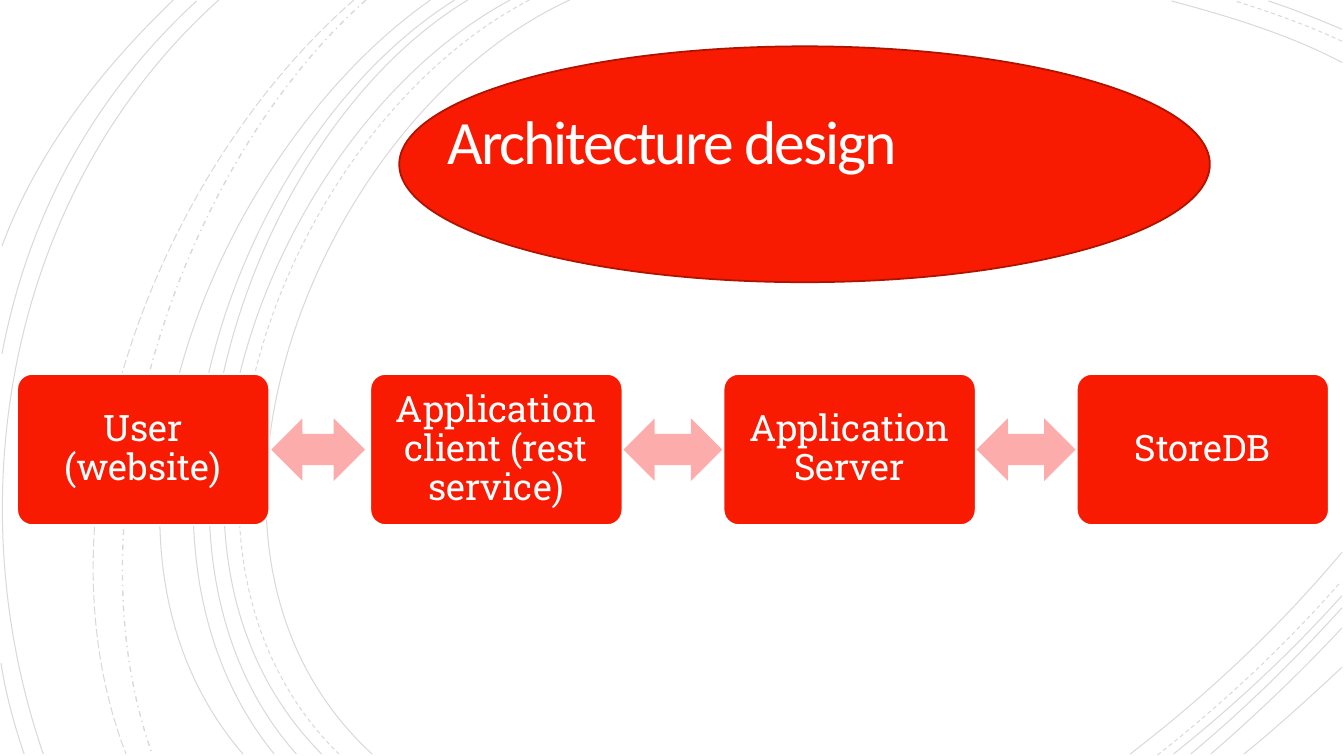
from dataclasses import dataclass
from typing import Optional

from lxml import etree
from pptx import Presentation
from pptx.dml.color import RGBColor
from pptx.enum.dml import MSO_LINE
from pptx.enum.shapes import MSO_SHAPE
from pptx.enum.text import MSO_ANCHOR, MSO_AUTO_SIZE, PP_ALIGN
from pptx.oxml.ns import qn
from pptx.util import Inches, Pt

RED = RGBColor(0xF8, 0x1B, 0x02)
DARK_RED = RGBColor(0xAF, 0x13, 0x01)
PINK = RGBColor(0xFB, 0xAC, 0xAB)
WHITE = RGBColor(0xFF, 0xFF, 0xFF)
BLACK = RGBColor(0x00, 0x00, 0x00)

SOLID, DASH = MSO_LINE.SOLID, MSO_LINE.DASH
DASH_DOT, LONG_DASH = MSO_LINE.DASH_DOT, MSO_LINE.LONG_DASH
ELLIPSE, ROUNDED = MSO_SHAPE.OVAL, MSO_SHAPE.ROUNDED_RECTANGLE
DOUBLE_ARROW = MSO_SHAPE.LEFT_RIGHT_ARROW
CENTER, MIDDLE = PP_ALIGN.CENTER, MSO_ANCHOR.MIDDLE
NO_AUTOFIT = MSO_AUTO_SIZE.NONE

# The page is a grid of one-inch cells
CELL = Inches(1)
COLUMNS, ROWS = 13.33, 7.5
TITLE_ONLY = 5

ARC_OPACITY = "15000"

# Row of stages
FIRST_LEFT, LAST_LEFT, STAGE_TOP = 0.17, 10.68, 3.71
STAGE_WIDTH, STAGE_HEIGHT = 2.5, 1.5
ARROW_HEIGHT = 0.62

Point = tuple[float, float]


@dataclass(frozen=True)
class Arc:
    start: Point
    first_pull: Point
    second_pull: Point
    end: Point
    dash: MSO_LINE = SOLID
    weight: float = 0.75


@dataclass(frozen=True)
class Arrow:
    gap: float
    width: float


@dataclass(frozen=True)
class Stage:
    label: str
    arrow: Optional[Arrow] = None


ARCS = [
    # Left sweeps
    Arc((5.65, 0), (3.15, 1.15), (1.43, 5.4), (3.69, 7.48)),
    Arc((5.25, 0), (2.85, 1.25), (1.23, 5.37), (3.36, 7.48), DASH),
    Arc((5.06, 0), (2.7, 1.27), (1.1, 5.37), (3.19, 7.48)),
    Arc((4.64, 0), (2.44, 1.33), (1.1, 5.41), (2.94, 7.48)),
    Arc((4.51, 0), (2.31, 1.38), (0.97, 5.33), (2.72, 7.48)),
    Arc((4.27, 0), (2.17, 1.47), (0.53, 5.29), (2.41, 7.48)),
    Arc((3.63, 0), (1.76, 1.66), (0.65, 5.09), (1.51, 7.48), DASH_DOT, 1),
    Arc((3.51, 0), (1.57, 1.69), (0.29, 4.99), (1.25, 7.48), LONG_DASH),
    Arc((2.17, 0), (0.11, 1.85), (-0.46, 4.9), (0.43, 7.48)),
    Arc((1.95, 0.01), (0.92, 0.96), (0.28, 2.14), (0.02, 3.51)),
    Arc((0.01, 6.58), (0.06, 6.89), (0.14, 7.19), (0.24, 7.48)),
    Arc((1.72, 0), (1, 0.69), (0.37, 1.5), (0.02, 2.44)),
    # Upper right corner
    Arc((13.31, 0.62), (12.78, 0.34), (12.18, 0.16), (11.62, 0.01)),
    Arc((13.31, 0.41), (12.97, 0.25), (12.6, 0.12), (12.25, 0.01), DASH),
    Arc((13.31, 0.29), (13.07, 0.19), (12.83, 0.09), (12.58, 0.01)),
    # Lower right corner
    Arc((11.21, 7.48), (11.97, 6.9), (12.69, 6.22), (13.31, 5.48)),
    Arc((11.48, 7.49), (12.13, 6.98), (12.75, 6.4), (13.3, 5.77), DASH),
    Arc((11.64, 7.48), (12.23, 7.01), (12.8, 6.48), (13.31, 5.91)),
    Arc((11.81, 7.48), (12.34, 7.04), (12.84, 6.55), (13.31, 6.03)),
    Arc((12.01, 7.48), (12.46, 7.09), (12.9, 6.67), (13.31, 6.23)),
    Arc((12.34, 7.48), (12.67, 7.21), (12.99, 6.92), (13.31, 6.62)),
]

STAGES = [
    Stage("User (website)", Arrow(0.02, 0.93)),
    Stage("Application client (rest service)", Arrow(0.01, 0.98)),
    Stage("Application Server", Arrow(0.01, 0.98)),
    Stage("StoreDB"),
]


def cells(count: float) -> int:
    return round(count * CELL)


def draw_arc(page, arc: Arc) -> None:
    corners = (arc.start, arc.first_pull, arc.second_pull, arc.end)
    points = [(cells(x), cells(y)) for x, y in corners]
    builder = page.shapes.build_freeform(*points[0])
    builder.add_line_segments(points[1:], close=False)
    curve = builder.convert_to_shape()
    # Join the three segments into one cubic curve
    segments = list(curve._element.iter(qn("a:lnTo")))
    outline = segments[0].getparent()
    cubic = etree.SubElement(outline, qn("a:cubicBezTo"))
    for segment in segments:
        cubic.append(segment[0])
        outline.remove(segment)
    curve.shadow.inherit = False
    curve.fill.background()
    curve.line.color.rgb = BLACK
    curve.line.width = Pt(arc.weight)
    curve.line.dash_style = arc.dash
    tint = next(curve._element.spPr.iter(qn("a:srgbClr")))
    etree.SubElement(tint, qn("a:alpha"), val=ARC_OPACITY)


def add_solid(page, kind: MSO_SHAPE, left: float, top: float, width: float,
              height: float, fill: RGBColor, outline: Optional[RGBColor] = None):
    box = page.shapes.add_shape(kind, *map(cells, (left, top, width, height)))
    box.shadow.inherit = False
    box.fill.solid()
    box.fill.fore_color.rgb = fill
    if outline is None:
        box.line.fill.background()
    else:
        box.line.color.rgb = outline
        box.line.width = Pt(1.25)
    return box


def write_text(box, text: str, font: str, size: float, spacing: float, inset: float):
    frame = box.text_frame
    frame.text = text
    frame.word_wrap = True
    frame.auto_size = NO_AUTOFIT
    frame.vertical_anchor = MIDDLE
    frame.margin_left = frame.margin_right = cells(inset)
    frame.margin_top = frame.margin_bottom = cells(inset)
    para = frame.paragraphs[0]
    para.alignment = CENTER
    para.line_spacing = spacing
    span = para.runs[0]
    span.font.name = font
    span.font.size = Pt(size)
    span.font.color.rgb = WHITE
    return span


def draw_title(page) -> None:
    add_solid(page, ELLIPSE, 3.96, 0.46, 8.04, 2.34, RED, DARK_RED)
    title = page.shapes.title
    title.left, title.top, title.width, title.height = map(cells, (1.92, 0.87, 9.49, 1.15))
    span = write_text(title, "Architecture design", "Calibri", 44, 0.85, 0.25)
    span.font._element.set("spc", "-150")
    # Bring the title in front of the ellipse
    page.shapes._spTree.append(title._element)


def draw_stage(page, left: float, stage: Stage) -> None:
    box = add_solid(page, ROUNDED, left, STAGE_TOP, STAGE_WIDTH, STAGE_HEIGHT, RED, WHITE)
    box.adjustments[0] = 0.1
    write_text(box, stage.label, "Roboto Slab", 26, 0.9, 0.11)
    if stage.arrow is not None:
        arrow_left = left + STAGE_WIDTH + stage.arrow.gap
        arrow_top = STAGE_TOP + (STAGE_HEIGHT - ARROW_HEIGHT) / 2
        add_solid(page, DOUBLE_ARROW, arrow_left, arrow_top,
                  stage.arrow.width, ARROW_HEIGHT, PINK)


def main() -> None:
    deck = Presentation()
    deck.slide_width, deck.slide_height = cells(COLUMNS), cells(ROWS)
    page = deck.slides.add_slide(deck.slide_layouts[TITLE_ONLY])
    page.background.fill.solid()
    page.background.fill.fore_color.rgb = WHITE
    for arc in ARCS:
        draw_arc(page, arc)
    draw_title(page)
    pitch = (LAST_LEFT - FIRST_LEFT) / (len(STAGES) - 1)
    for index, stage in enumerate(STAGES):
        draw_stage(page, FIRST_LEFT + index * pitch, stage)
    deck.save("out.pptx")


if __name__ == "__main__":
    main()
